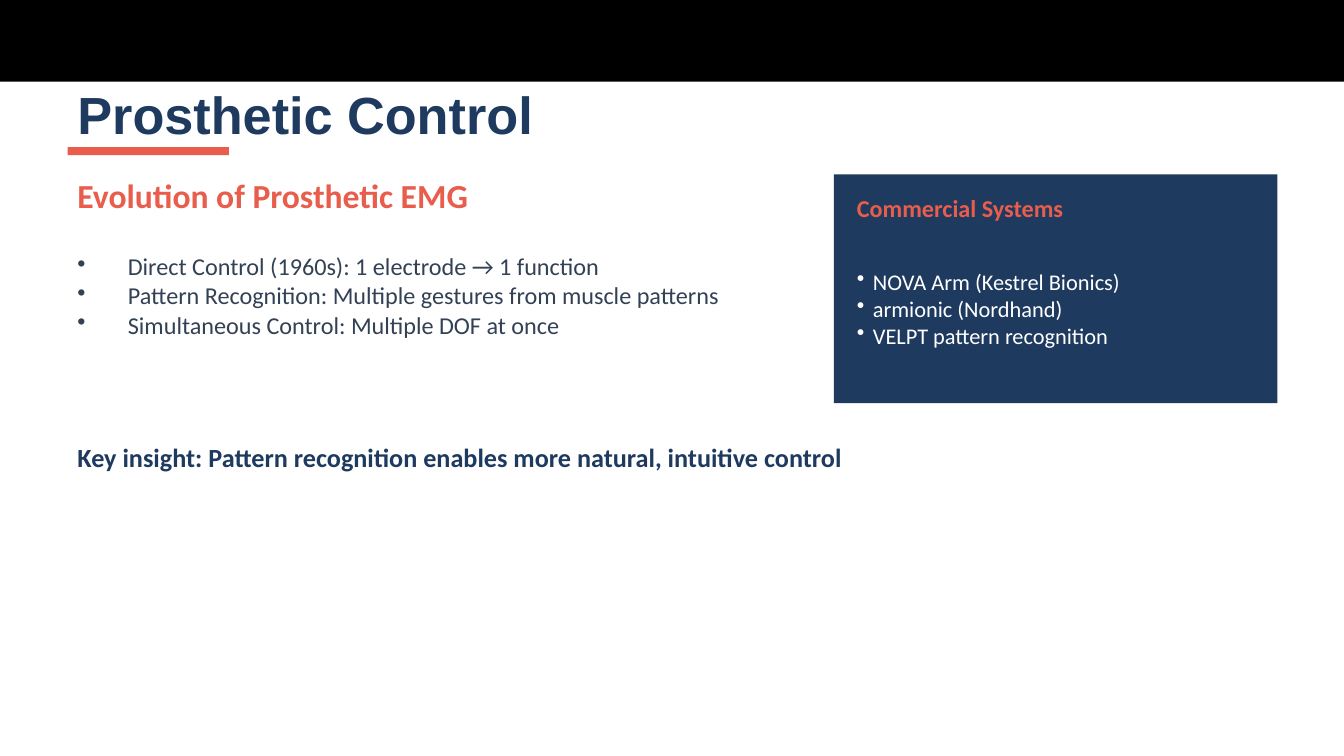
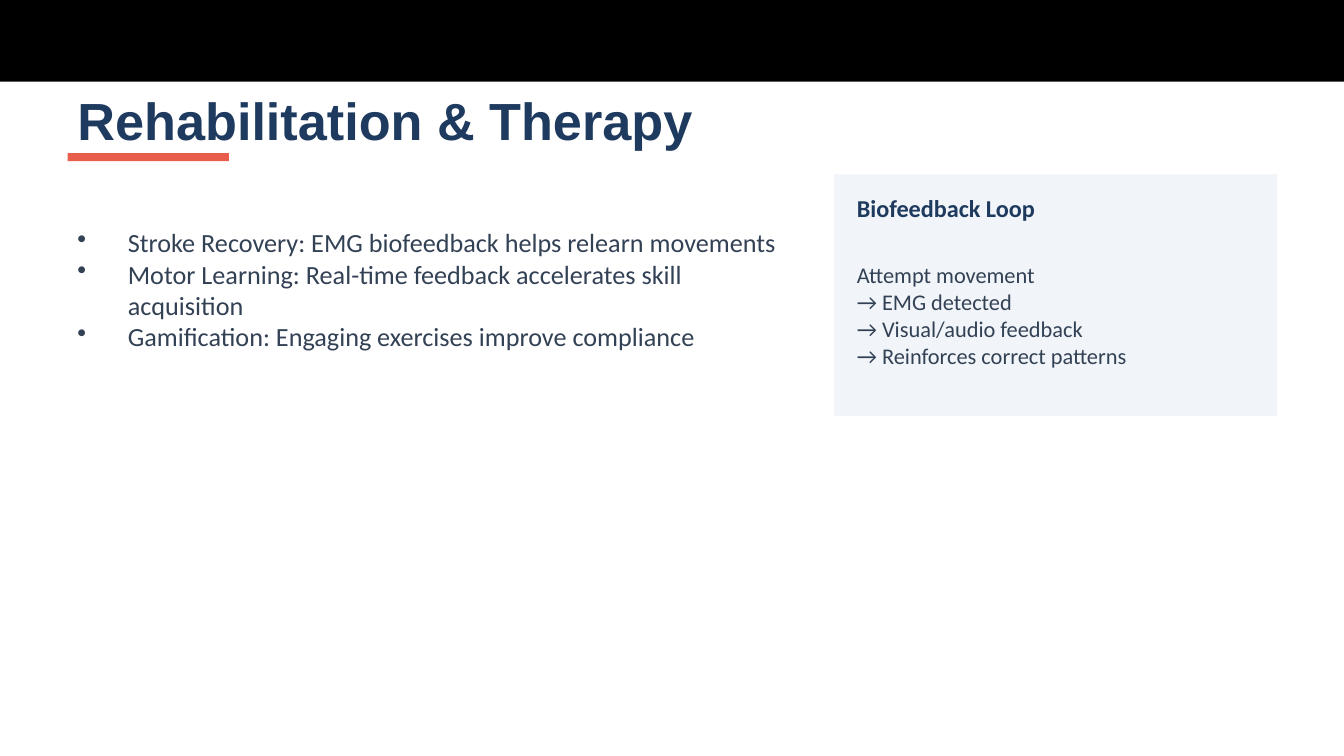
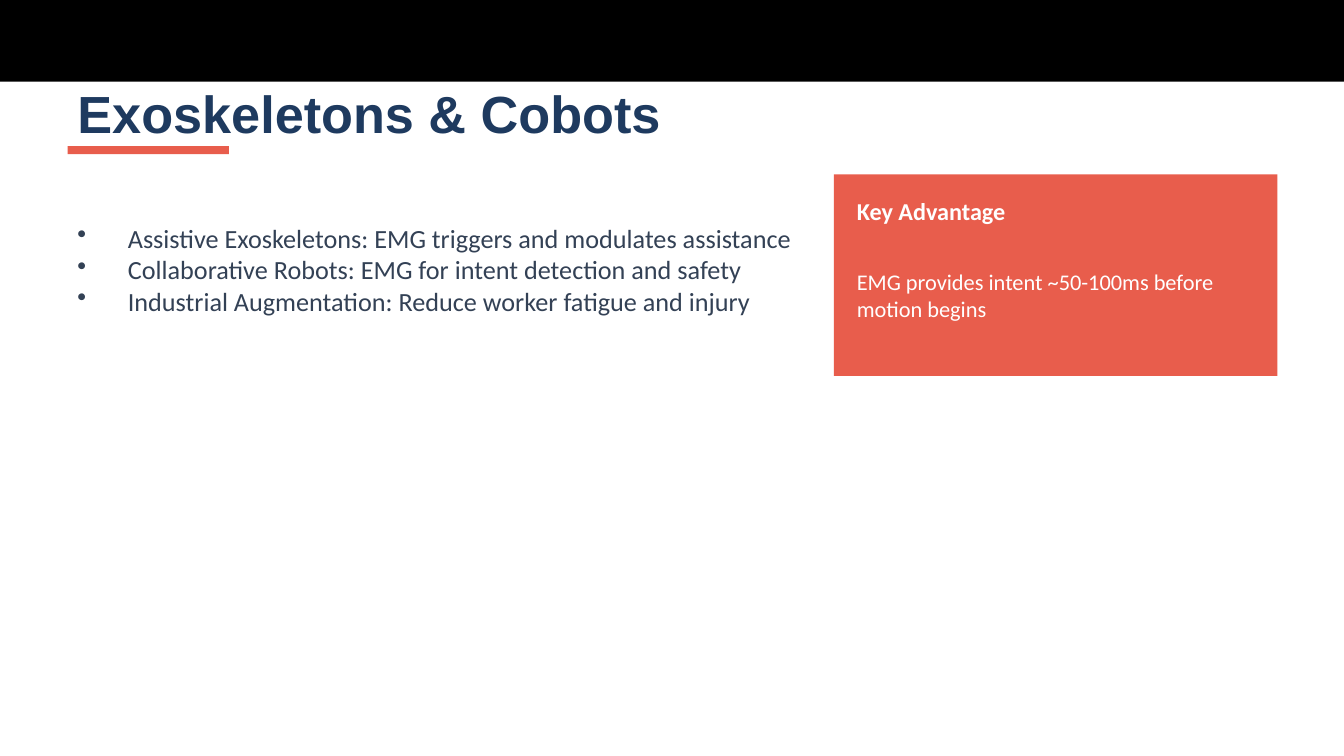
from lxml.etree import SubElement
from pptx import Presentation
from pptx.dml.color import RGBColor
from pptx.enum.shapes import MSO_SHAPE
from pptx.enum.text import MSO_ANCHOR
from pptx.oxml.ns import qn
from pptx.util import Inches, Pt

BLACK = RGBColor(0x00, 0x00, 0x00)
WHITE = RGBColor(0xFF, 0xFF, 0xFF)
NAVY = RGBColor(0x1E, 0x3A, 0x5F)
CORAL = RGBColor(0xE8, 0x5D, 0x4C)
SLATE = RGBColor(0x33, 0x41, 0x55)
PALE = RGBColor(0xF1, 0xF5, 0xF9)

SLIDE_WIDTH = 13.33
MARGIN = 0.67
CONTENT_WIDTH = 12
LIST_WIDTH = 7.33
PANEL_LEFT, PANEL_TOP, PANEL_WIDTH = 8.27, 1.73, 4.4
PANEL_PADDING = 0.13


class Deck:
    """Builds slides that share one band, title style, list style and side panel."""

    def __init__(self):
        self.presentation = Presentation()
        self.presentation.slide_width = Inches(SLIDE_WIDTH)
        self.presentation.slide_height = Inches(7.5)
        self.slide = None

    def add_slide(self, title, title_top):
        self.slide = self.presentation.slides.add_slide(self.presentation.slide_layouts[6])
        self.rectangle(0, 0, SLIDE_WIDTH, 0.81, BLACK)
        self.text([title], MARGIN, title_top, CONTENT_WIDTH, 0.8, 37.3, NAVY, bold=True, font="Arial")
        self.rectangle(MARGIN, title_top + 0.73, 1.6, 0.08, CORAL)

    def rectangle(self, left, top, width, height, color):
        shape = self.slide.shapes.add_shape(
            MSO_SHAPE.RECTANGLE, Inches(left), Inches(top), Inches(width), Inches(height))
        shape.shadow.inherit = False
        shape.fill.solid()
        shape.fill.fore_color.rgb = color
        shape.line.fill.background()

    def text(self, lines, left, top, width, height, size, color,
             bold=False, font="Calibri", bullet_indent=None):
        box = self.slide.shapes.add_textbox(Inches(left), Inches(top), Inches(width), Inches(height))
        text_frame = box.text_frame
        text_frame.word_wrap = True
        text_frame.vertical_anchor = MSO_ANCHOR.MIDDLE
        text_frame.text = "\n".join(lines)
        for paragraph in text_frame.paragraphs:
            if bullet_indent:
                self.bullet(paragraph, bullet_indent)
            for run in paragraph.runs:
                run.font.name = font
                run.font.size = Pt(size)
                run.font.bold = bold
                run.font.color.rgb = color

    def bullet(self, paragraph, indent):
        properties = paragraph._p.get_or_add_pPr()
        properties.set("marL", str(Inches(indent)))
        properties.set("indent", str(-Inches(indent)))
        SubElement(properties, qn("a:buChar")).set("char", "•")

    def bullet_list(self, lines, top, height, size=18.7):
        self.text(lines, MARGIN, top, LIST_WIDTH, height, size, SLATE, bullet_indent=0.5)

    def statement(self, line, top, height, size, color):
        self.text([line], MARGIN, top, CONTENT_WIDTH, height, size, color, bold=True)

    def panel(self, heading, lines, height, body_height, fill, heading_color, body_color,
              heading_height=0.4, bullet_indent=None):
        left = PANEL_LEFT + PANEL_PADDING
        top = PANEL_TOP + PANEL_PADDING
        width = PANEL_WIDTH - 2 * PANEL_PADDING
        self.rectangle(PANEL_LEFT, PANEL_TOP, PANEL_WIDTH, height, fill)
        self.text([heading], left, top, width, heading_height, 17.3, heading_color, bold=True)
        self.text(lines, left, top + heading_height, width, body_height, 16, body_color,
                  bullet_indent=bullet_indent)


def main():
    deck = Deck()

    deck.add_slide("Prosthetic Control", 0.73)
    deck.statement("Evolution of Prosthetic EMG", 1.6, 0.67, 24, CORAL)
    deck.bullet_list([
        "Direct Control (1960s): 1 electrode → 1 function",
        "Pattern Recognition: Multiple gestures from muscle patterns",
        "Simultaneous Control: Multiple DOF at once",
    ], 2.13, 1.6, size=17.3)
    deck.panel("Commercial Systems", [
        "NOVA Arm (Kestrel Bionics)",
        "armionic (Nordhand)",
        "VELPT pattern recognition",
    ], 2.27, 1.6, NAVY, CORAL, WHITE, bullet_indent=0.16)
    deck.statement("Key insight: Pattern recognition enables more natural, intuitive control",
                   4.27, 0.53, 18.7, NAVY)

    deck.add_slide("Rehabilitation & Therapy", 0.79)
    deck.bullet_list([
        "Stroke Recovery: EMG biofeedback helps relearn movements",
        "Motor Learning: Real-time feedback accelerates skill acquisition",
        "Gamification: Engaging exercises improve compliance",
    ], 1.87, 2)
    deck.panel("Biofeedback Loop", [
        "Attempt movement",
        "→ EMG detected",
        "→ Visual/audio feedback",
        "→ Reinforces correct patterns",
    ], 2.4, 1.73, PALE, NAVY, SLATE)

    deck.add_slide("Exoskeletons & Cobots", 0.72)
    deck.bullet_list([
        "Assistive Exoskeletons: EMG triggers and modulates assistance",
        "Collaborative Robots: EMG for intent detection and safety",
        "Industrial Augmentation: Reduce worker fatigue and injury",
    ], 1.87, 1.6)
    deck.panel("Key Advantage", ["EMG provides intent ~50-100ms before motion begins"],
               2, 1.2, CORAL, WHITE, WHITE, heading_height=0.47)

    deck.presentation.save("out.pptx")


if __name__ == "__main__":
    main()
